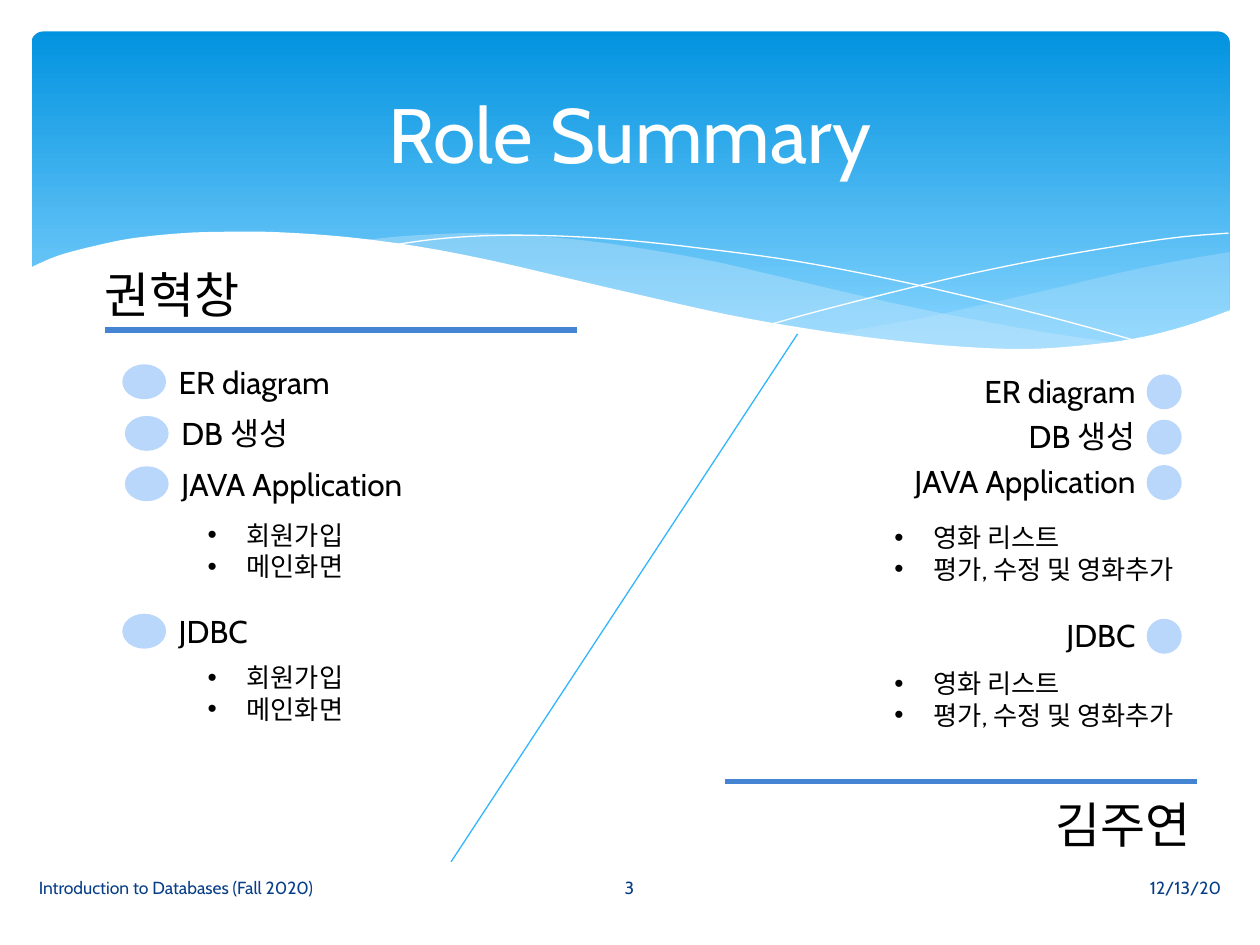
from lxml import etree
from pptx import Presentation
from pptx.dml.color import RGBColor
from pptx.enum.shapes import MSO_CONNECTOR, MSO_SHAPE
from pptx.enum.text import MSO_ANCHOR, MSO_AUTO_SIZE, PP_ALIGN
from pptx.oxml.ns import qn
from pptx.util import Inches, Pt

LEFT, CENTER, RIGHT = PP_ALIGN.LEFT, PP_ALIGN.CENTER, PP_ALIGN.RIGHT
TOP, MIDDLE = MSO_ANCHOR.TOP, MSO_ANCHOR.MIDDLE
FIT_SHAPE, FIXED = MSO_AUTO_SIZE.SHAPE_TO_FIT_TEXT, MSO_AUTO_SIZE.NONE
ROUNDED, OVAL = MSO_SHAPE.ROUNDED_RECTANGLE, MSO_SHAPE.OVAL
STRAIGHT = MSO_CONNECTOR.STRAIGHT

LATIN, KOREAN = "Cabin", "Noto Sans CJK KR"
BLACK, WHITE, NAVY = "000000", "FFFFFF", "073E87"
SKY, RULE, DOT, MIST = "31B6FD", "4584D3", "B9D6FB", "C6E7FC"

RIGHT_SWELL_TOP = [(9.76, 2), (9.35, 2.07), (8.91, 2.16), (8.32, 2.3), (7.79, 2.42), (7.29, 2.53), (6.61, 2.65)]
RIGHT_SWELL_BASE = [(6.61, 2.65), (7.05, 2.71), (7.57, 2.76), (8.03, 2.78), (8.54, 2.76), (8.97, 2.7),
                    (9.35, 2.62), (9.76, 2.47)]
LONG_SWELL_TOP = [(8.93, 2.73), (8.37, 2.65), (7.75, 2.54), (7.06, 2.4), (6.29, 2.22), (5.69, 2.08), (5.14, 1.98),
                  (4.65, 1.91), (4.2, 1.87), (3.8, 1.85), (3.44, 1.86), (3.13, 1.88), (2.86, 1.91)]
LONG_SWELL_BASE = [(2.86, 1.91), (3.42, 1.99), (4.04, 2.11), (4.49, 2.22), (5.3, 2.4), (6.01, 2.55), (6.65, 2.66),
                   (7.22, 2.74), (7.73, 2.77), (8.18, 2.78), (8.57, 2.77), (8.93, 2.73)]
FALLING_LINE = [(3.09, 1.95), (3.44, 1.9), (3.87, 1.87), (4.33, 1.87), (4.89, 1.9), (5.56, 1.97), (6.36, 2.08),
                (7.27, 2.26), (8.31, 2.51), (9.07, 2.72)]
RISING_LINE = [(6.13, 2.57), (6.53, 2.46), (7.2, 2.29), (7.76, 2.16), (8.36, 2.04), (8.95, 1.94), (9.38, 1.88),
               (9.75, 1.85)]
WHITE_WAVE = [(9.77, 2.46), (9.4, 2.59), (8.99, 2.69), (8.5, 2.75), (8.09, 2.77), (7.61, 2.75), (7.08, 2.7),
              (6.48, 2.62), (5.79, 2.5), (5.03, 2.33), (4.47, 2.2), (3.91, 2.07), (3.4, 1.97), (2.92, 1.9),
              (2.5, 1.86), (2.11, 1.84), (1.77, 1.84), (1.46, 1.85), (1.06, 1.89), (0.76, 1.95), (0.46, 2.03),
              (0.23, 2.13)]

LEFT_ROLES = [("ER diagram", 0.98, 2.9), ("DB 생성", 1, 3.31), ("JAVA Application", 1, 3.71), ("JDBC", 0.98, 4.88)]
RIGHT_ROLES = [("ER diagram", 2.98), ("DB 생성", 3.34), ("JAVA Application", 3.7), ("JDBC", 4.92)]
LEFT_TASKS = ["회원가입", "메인화면"]
RIGHT_TASKS = ["영화 리스트", "평가, 수정 및 영화추가"]


def color(value):
    """Turn a hex string into a colour."""
    return RGBColor.from_string(value)


def smooth(knots, steps=5):
    """Return points of a Catmull-Rom curve through the knots."""
    padded = [knots[0], *knots, knots[-1]]
    points = [knots[0]]
    for a, b, c, d in zip(padded, padded[1:], padded[2:], padded[3:]):
        for step in range(1, steps + 1):
            t = step / steps
            points.append(tuple(
                (2 * q + (r - p) * t + (2 * p - 5 * q + 4 * r - s) * t ** 2 + (3 * q - p - 3 * r + s) * t ** 3) / 2
                for p, q, r, s in zip(a, b, c, d)))
    return points


class SlidePainter:
    """Draws styled elements on one slide."""

    def __init__(self, slide):
        """Keep the slide to draw on."""
        self.shapes = slide.shapes

    def banner(self, left, top, width, height):
        """Draw the rounded gradient banner."""
        shape = self.shapes.add_shape(ROUNDED, Inches(left), Inches(top), Inches(width), Inches(height))
        shape.adjustments[0] = 0.034
        shape.shadow.inherit = False
        shape.line.fill.background()
        shape.fill.gradient()
        shape.fill.gradient_angle = 270
        for stop, position, value in zip(shape.fill.gradient_stops, (0, 0.9), ("0293E0", "83D3FE")):
            stop.position = position
            stop.color.rgb = color(value)

    def outline(self, points, closed):
        """Build a freeform through the points."""
        builder = self.shapes.build_freeform(*map(Inches, points[0]))
        builder.add_line_segments([(Inches(x), Inches(y)) for x, y in points[1:]], close=closed)
        shape = builder.convert_to_shape()
        shape.shadow.inherit = False
        return shape

    def wave(self, points, fill, opacity=100):
        """Draw a filled wave without an outline."""
        shape = self.outline(points, True)
        shape.line.fill.background()
        shape.fill.solid()
        shape.fill.fore_color.rgb = color(fill)
        if opacity < 100:
            value = shape.fill._xPr.find(".//" + qn("a:srgbClr"))
            etree.SubElement(value, qn("a:alpha"), val=str(opacity * 1000))

    def curve(self, knots):
        """Draw a white hairline curve."""
        shape = self.outline(smooth(knots), False)
        shape.fill.background()
        shape.line.color.rgb = color(WHITE)
        shape.line.width = Pt(0)

    def line(self, start, end, stroke, width):
        """Draw a straight line."""
        connector = self.shapes.add_connector(STRAIGHT, *map(Inches, (*start, *end)))
        connector.line.color.rgb = color(stroke)
        connector.line.width = Pt(width)
        etree.SubElement(connector._element.spPr, qn("a:effectLst"))

    def text(self, words, left, top, width, height, size, fill=BLACK, align=LEFT, anchor=TOP, font=LATIN):
        """Write a text box and return it."""
        box = self.shapes.add_textbox(Inches(left), Inches(top), Inches(width), Inches(height))
        frame = box.text_frame
        frame.text = words
        frame.word_wrap = True
        frame.vertical_anchor = anchor
        frame.auto_size = FIT_SHAPE if anchor == TOP else FIXED
        for para in frame.paragraphs:
            para.alignment = align
            for span in para.runs:
                span.font.name = font
                span.font.size = Pt(size)
                span.font.color.rgb = color(fill)
                etree.SubElement(span.font._element, qn("a:ea"), typeface=KOREAN)
        return box

    def tasks(self, items, left, top, width):
        """Write a bulleted list of tasks."""
        box = self.text("\n".join(items), left, top, width, 0.61, 15)
        for para in box.text_frame.paragraphs:
            properties = para._p.get_or_add_pPr()
            properties.set("marL", str(Inches(0.31)))
            properties.set("indent", str(-Inches(0.31)))
            etree.SubElement(properties, qn("a:buFont"), typeface="Arial")
            etree.SubElement(properties, qn("a:buChar"), char="•")

    def dot(self, left, top, width):
        """Draw the oval marker of a role."""
        shape = self.shapes.add_shape(OVAL, Inches(left), Inches(top), Inches(width), Inches(0.26))
        shape.shadow.inherit = False
        shape.fill.solid()
        shape.fill.fore_color.rgb = color(DOT)
        shape.line.color.rgb = color(DOT)
        shape.line.width = Pt(1.25)


def main():
    """Build the role summary slide."""
    deck = Presentation()
    deck.slide_width, deck.slide_height = Inches(10), Inches(7.5)
    painter = SlidePainter(deck.slides.add_slide(deck.slide_layouts[6]))

    painter.banner(0.25, 0.25, 9.51, 2.7)
    painter.wave(smooth(RIGHT_SWELL_TOP) + smooth(RIGHT_SWELL_BASE), MIST, 29)
    painter.wave(smooth(LONG_SWELL_TOP) + smooth(LONG_SWELL_BASE), MIST, 40)
    painter.curve(FALLING_LINE)
    painter.curve(RISING_LINE)
    painter.wave(smooth(WHITE_WAVE) + [(0.23, 3.29), (9.77, 3.29)], WHITE)

    painter.text("Role Summary", 0.5, 0.37, 9, 1.37, 44, WHITE, CENTER, MIDDLE)
    for words, left, width, align in [("12/13/20", 5.65, 4.14, RIGHT),
                                      ("Introduction to Databases (Fall 2020)", 0.21, 4.14, LEFT),
                                      ("3", 4.36, 1.27, CENTER)]:
        painter.text(words, left, 6.84, width, 0.4, 10, NAVY, align, MIDDLE)
    painter.text("권혁창", 0.73, 2.05, 1.5, 0.57, 28, font=KOREAN)
    painter.text("김주연", 8.28, 6.26, 1.5, 0.57, 28, font=KOREAN)

    painter.line((6.33, 2.65), (3.58, 6.84), SKY, 0.75)
    painter.line((0.83, 2.62), (4.58, 2.62), RULE, 3)
    painter.line((5.75, 6.2), (9.5, 6.2), RULE, 3)

    for words, left, top in LEFT_ROLES:
        painter.text(words, left + 0.34, top - 0.07, 3.02, 0.4, 18)
        painter.dot(left, top, 0.33)
    for words, top in RIGHT_ROLES:
        painter.text(words, 6.8, top - 0.08, 2.31, 0.4, 18, align=RIGHT)
        painter.dot(9.11, top, 0.26)
    for top in (4.07, 5.2):
        painter.tasks(LEFT_TASKS, 1.55, top, 2.31)
    for top, width in ((4.09, 2.79), (5.25, 2.59)):
        painter.tasks(RIGHT_TASKS, 7, top, width)

    deck.save("out.pptx")


if __name__ == "__main__":
    main()
